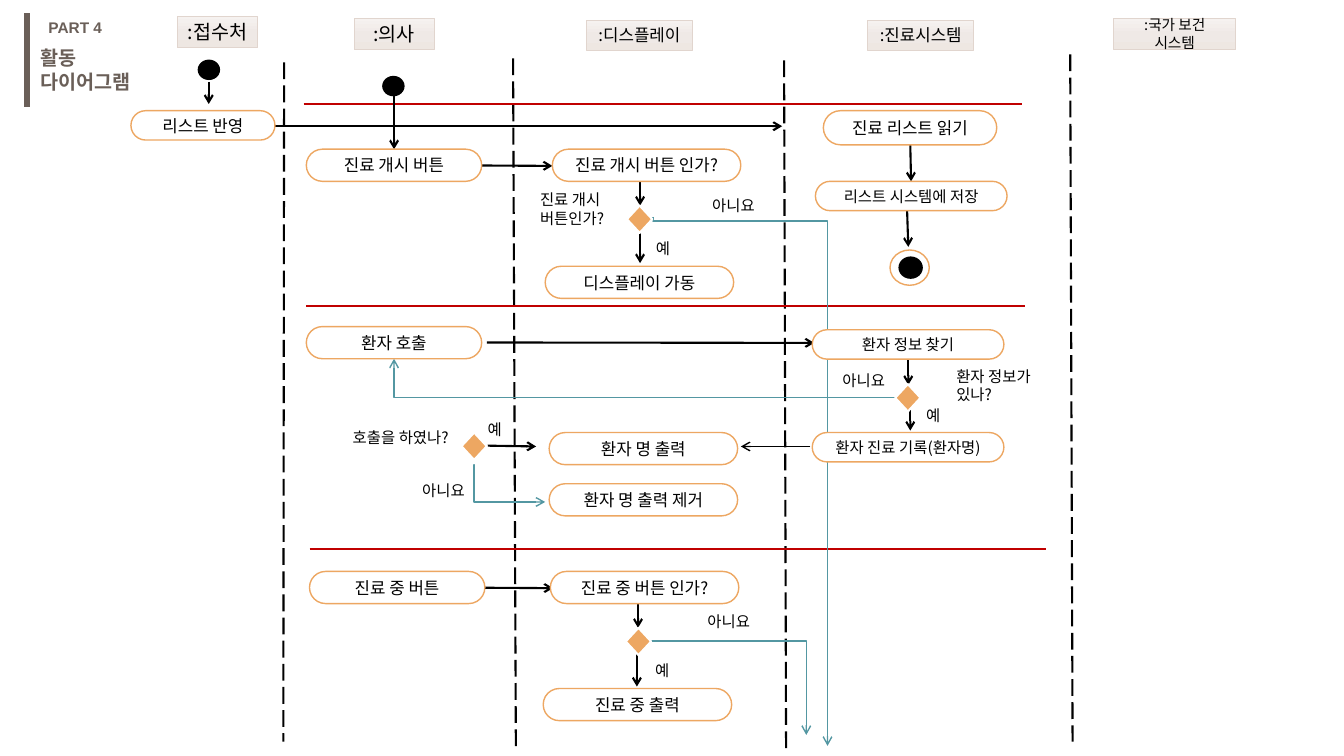
from copy import deepcopy

from lxml import etree
from pptx import Presentation
from pptx.dml.color import RGBColor
from pptx.enum.dml import MSO_LINE
from pptx.enum.shapes import MSO_CONNECTOR, MSO_SHAPE
from pptx.enum.text import MSO_ANCHOR, PP_ALIGN
from pptx.oxml.ns import qn
from pptx.util import Cm, Pt

STRAIGHT, ELBOW = MSO_CONNECTOR.STRAIGHT, MSO_CONNECTOR.ELBOW
RECT, PILL = MSO_SHAPE.RECTANGLE, MSO_SHAPE.ROUNDED_RECTANGLE
OVAL, DIAMOND = MSO_SHAPE.OVAL, MSO_SHAPE.DIAMOND
LONG_DASH = MSO_LINE.LONG_DASH
CENTER, MIDDLE = PP_ALIGN.CENTER, MSO_ANCHOR.MIDDLE

COLORS = {
    "black": "000000", "white": "FFFFFF", "brown": "6A5F58", "orange": "EDA762",
    "teal": "5397A2", "red": "C00000", "header_line": "E1D5CE",
}
HEADER_STOPS = [(0, "F6F2F0"), (0.5, "EFE9E6"), (1, "EEE7E2")]
KOREAN, LATIN = "Noto Sans CJK KR", "Arial"


class Diagram:
    """Draws activity diagram elements on one slide; lengths are in cm."""

    def __init__(self, slide):
        self.shapes = slide.shapes

    def color(self, name):
        return RGBColor.from_string(COLORS[name])

    def set_text(self, tf, text, size, color="black", font=KOREAN, bold=False, align=None):
        tf.word_wrap = True
        tf.text = text
        for p in tf.paragraphs:
            p.alignment = align
            p.font.size = Pt(size)
            p.font.bold = bold
            p.font.name = font
            p.font.color.rgb = self.color(color)
            props = p._p.pPr.find(qn("a:defRPr"))
            etree.SubElement(props, qn("a:ea"), typeface=font)

    def label(self, x, y, w, h, text, size=11, **style):
        box = self.shapes.add_textbox(Cm(x), Cm(y), Cm(w), Cm(h))
        self.set_text(box.text_frame, text, size, **style)

    def shape(self, kind, x, y, w, h, fill, line, width=1.0):
        sp = self.shapes.add_shape(kind, Cm(x), Cm(y), Cm(w), Cm(h))
        sp.shadow.inherit = False
        sp.fill.solid()
        sp.fill.fore_color.rgb = self.color(fill)
        sp.line.color.rgb = self.color(line)
        sp.line.width = Pt(width)
        return sp

    def box_text(self, sp, text, size):
        sp.text_frame.vertical_anchor = MIDDLE
        self.set_text(sp.text_frame, text, size, align=CENTER)

    def header(self, x, y, w, h, text, size):
        sp = self.shape(RECT, x, y, w, h, "white", "header_line", 0.5)
        sp.fill.gradient()
        sp.fill.gradient_angle = 270
        stops = sp._element.spPr.find(qn("a:gradFill")).find(qn("a:gsLst"))
        stops.insert(1, deepcopy(stops[0]))
        for stop, (position, rgb) in zip(sp.fill.gradient_stops, HEADER_STOPS):
            stop.position = position
            stop.color.rgb = RGBColor.from_string(rgb)
        self.box_text(sp, text, size)

    def action(self, x, y, w, h, text, size=12):
        sp = self.shape(PILL, x, y, w, h, "white", "orange")
        sp.adjustments[0] = 0.5
        self.box_text(sp, text, size)

    def decision(self, x, y):
        self.shape(DIAMOND, x, y, 0.64, 0.69, "orange", "white", 1.5)

    def dot(self, x, y, w=0.53, h=0.48):
        self.shape(OVAL, x, y, w, h, "black", "black")

    def line(self, x1, y1, x2, y2, color="black", width=1.5, dash=None,
             arrow=False, kind=STRAIGHT):
        cn = self.shapes.add_connector(kind, Cm(x1), Cm(y1), Cm(x2), Cm(y2))
        cn.line.color.rgb = self.color(color)
        cn.line.width = Pt(width)
        if dash:
            cn.line.dash_style = dash
        props = cn._element.spPr
        if arrow:
            etree.SubElement(props.find(qn("a:ln")), qn("a:tailEnd"), type="arrow")
        etree.SubElement(props, qn("a:effectLst"))
        return cn

    def elbow(self, x1, y1, x2, y2, preset="bentConnector3", bend=None, turn=0):
        cn = self.line(x1, y1, x2, y2, "teal", 1, arrow=True, kind=ELBOW)
        cn._element.spPr.find(qn("a:xfrm")).set("rot", str(turn * 60000))
        geom = cn._element.spPr.find(qn("a:prstGeom"))
        geom.set("prst", preset)
        if bend is not None:
            guides = geom.find(qn("a:avLst"))
            etree.SubElement(guides, qn("a:gd"), name="adj1", fmla=f"val {bend}")


def main():
    prs = Presentation()
    prs.slide_width, prs.slide_height = Cm(33.87), Cm(19.05)
    d = Diagram(prs.slides.add_slide(prs.slide_layouts[6]))

    # Title
    d.line(0.69, 0.33, 0.69, 2.69, "brown", 4.5)
    d.label(0.97, 0.33, 2.1, 0.74, "PART 4", color="brown", font=LATIN, bold=True)
    d.label(0.76, 1.04, 3.48, 0.86, "활동 다이어그램", 14, color="brown", bold=True)

    # Swimlane borders and phase separators
    for x1, y1, x2, y2 in [(7.16, 1.57, 7.14, 18.69), (12.93, 1.47, 13, 18.8),
                           (19.76, 1.52, 19.81, 18.87), (26.97, 1.37, 27.03, 18.69)]:
        d.line(x1, y1, x2, y2, dash=LONG_DASH)
    for x1, x2, y in [(7.65, 25.76, 2.62), (7.72, 25.83, 7.7), (7.8, 26.37, 13.84)]:
        d.line(x1, y, x2, y, "red")

    # Flow arrows
    for flow in [
        (5.26, 2.06, 5.26, 2.62), (6.93, 3.18, 19.71, 3.18),
        (9.93, 2.39, 9.93, 3.76), (12.12, 4.17, 13.92, 4.18),
        (16.13, 4.17, 16.13, 5.18), (16.13, 5.61, 16.13, 6.63),
        (22.94, 3.66, 22.96, 4.57), (22.86, 5.31, 22.89, 6.22),
        (12.27, 8.63, 20.52, 8.64), (22.89, 8.69, 22.89, 9.7),
        (22.94, 9.83, 22.94, 10.85), (12.29, 11.23, 13.51, 11.25),
        (12.17, 14.81, 13.94, 14.82), (16.08, 14.81, 16.08, 15.82),
        (16.05, 16.28, 16.05, 17.3),
    ]:
        d.line(*flow, arrow=True)
    d.line(20.42, 11.25, 18.67, 11.25, width=1, arrow=True)

    # "No" branches
    d.elbow(25.32, 9.93, 11.99, 14.33, bend=800, turn=270)
    d.elbow(11.94, 11.71, 13.74, 12.65, bend=500)
    d.elbow(16.41, 16.15, 20.32, 18.52, "bentConnector2")
    d.elbow(9.93, 9.04, 22.56, 10.01, "bentConnector2", turn=180)

    # Lane headers
    for x, y, w, h, text, size in [
        (4.47, 0.41, 2.03, 0.79, ":접수처", 14),
        (8.92, 0.46, 2.03, 0.79, ":의사", 14),
        (14.78, 0.51, 2.67, 0.76, ":디스플레이", 12),
        (21.87, 0.51, 2.67, 0.76, ":진료시스템", 12),
        (28.07, 0.46, 3.07, 0.79, ":국가 보건 시스템", 10.5),
    ]:
        d.header(x, y, w, h, text, size)

    # Actions
    d.action(3.3, 2.79, 3.63, 0.74, "리스트 반영")
    d.action(20.75, 2.79, 4.37, 0.86, "진료 리스트 읽기")
    for x, y, text in [(7.72, 3.76, "진료 개시 버튼"), (7.72, 8.23, "환자 호출"),
                       (7.8, 14.4, "진료 중 버튼")]:
        d.action(x, y, 4.42, 0.81, text)
    for x, y, text in [(13.92, 3.76, "진료 개시 버튼 인가?"), (13.74, 6.71, "디스플레이 가동"),
                       (13.84, 10.9, "환자 명 출력"), (13.84, 12.19, "환자 명 출력 제거"),
                       (13.87, 14.4, "진료 중 버튼 인가?"), (13.69, 17.35, "진료 중 출력")]:
        d.action(x, y, 4.75, 0.81, text)
    for x, y, text in [(20.55, 4.57, "리스트 시스템에 저장"), (20.47, 8.31, "환자 정보 찾기"),
                       (20.47, 10.9, "환자 진료 기록(환자명)")]:
        d.action(x, y, 4.83, 0.74, text, 11)

    # Decisions, start dots and end node
    for x, y in [(15.8, 5.18), (11.63, 10.9), (15.77, 15.82), (22.56, 9.68)]:
        d.decision(x, y)
    d.dot(5, 1.52)
    d.dot(9.65, 1.93)
    d.shape(OVAL, 22.43, 6.3, 0.99, 0.89, "white", "orange")
    d.dot(22.66, 6.48, 0.58, 0.53)

    # Questions and answers
    d.label(13.36, 4.67, 2.59, 1.19, "진료 개시\n버튼인가?")
    d.label(8.64, 10.67, 3.33, 0.74, "호출을 하였나?")
    d.label(23.85, 9.12, 2.59, 1.68, "환자 정보가 있나?")
    for x, y in [(17.7, 4.83), (10.39, 11.99), (17.58, 15.29), (20.98, 9.22)]:
        d.label(x, y, 1.93, 0.74, "아니요")
    for x, y in [(16.28, 5.89), (12.04, 10.46), (16.26, 16.54), (23.09, 10.11)]:
        d.label(x, y, 0.91, 0.74, "예")

    prs.save("out.pptx")


if __name__ == "__main__":
    main()
